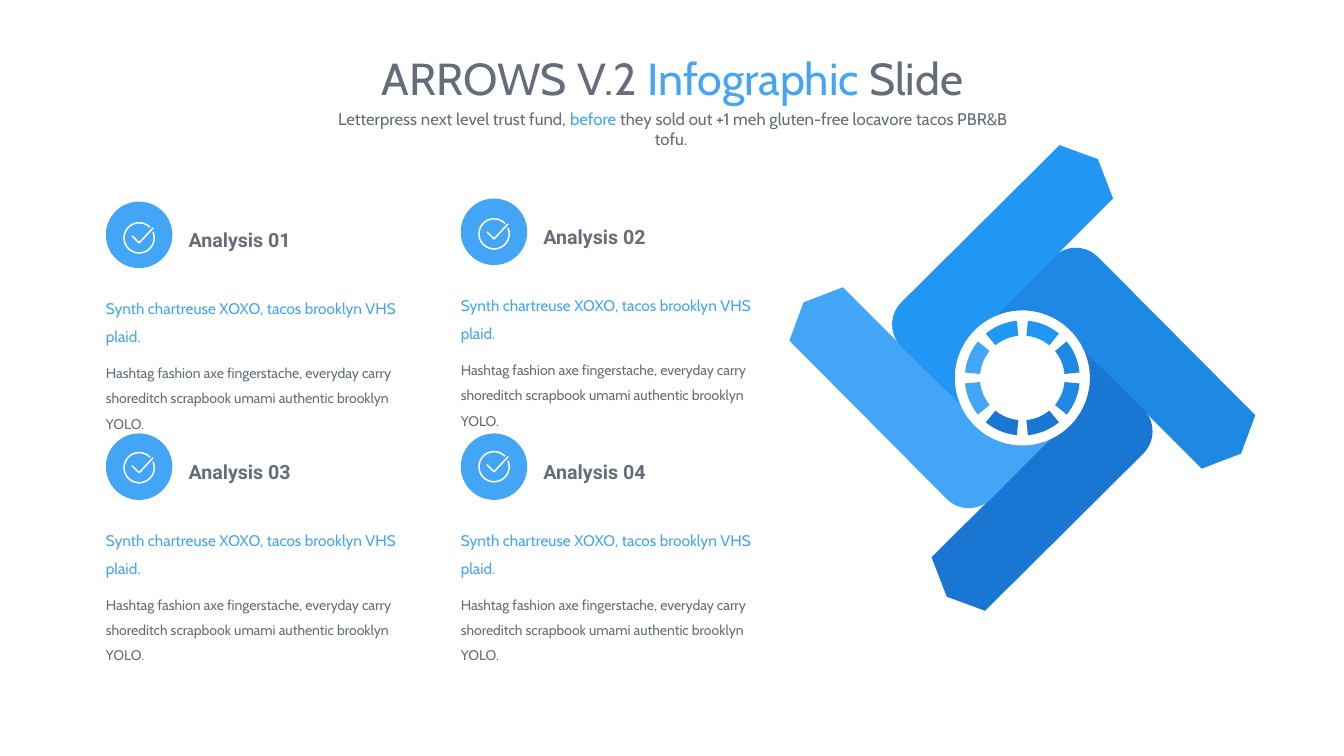
from dataclasses import dataclass
from math import cos, radians, sin

from pptx import Presentation
from pptx.dml.color import RGBColor
from pptx.enum.shapes import MSO_SHAPE
from pptx.enum.text import MSO_ANCHOR, MSO_AUTO_SIZE, PP_ALIGN
from pptx.util import Inches, Pt

ROUND_RECT = MSO_SHAPE.ROUNDED_RECTANGLE
TOP, MIDDLE = MSO_ANCHOR.TOP, MSO_ANCHOR.MIDDLE
CENTER = PP_ALIGN.CENTER
NO_FIT = MSO_AUTO_SIZE.NONE

GREY, SKY, WHITE = "656D78", "42A5F5", "FFFFFF"
ARM_COLOURS = ["1E88E5", "1976D2", SKY, "2196F3"]  # clockwise from the right

# All lengths count cells of a one-inch grid
CARD_LEFT, CARD_TOP = 1.05, 2.0
COLUMN_STEP, ROW_STEP = 3.52, 2.3
DISC = 0.66
HUB_X, HUB_Y = 10.14, 3.75
HUB_RADIUS, RING_OUTER, RING_INNER = 0.67, 0.57, 0.42

Point = tuple[float, float]


@dataclass
class Card:
    heading: str
    column: int
    row: int
    tick_y: float  # centre of the tick below the top of its disc
    lift: float = 0


CARDS = [
    Card("Analysis 01", 0, 0, 0.36),
    Card("Analysis 02", 1, 0, 0.35, lift=0.03),
    Card("Analysis 03", 0, 1, 0.34),
    Card("Analysis 04", 1, 1, 0.33),
]
LEAD = "Synth chartreuse XOXO, tacos brooklyn VHS plaid."
DETAIL = ("Hashtag fashion axe fingerstache, everyday carry "
          "shoreditch scrapbook umami authentic brooklyn YOLO.")


def rgb(colour: str) -> RGBColor:
    return RGBColor.from_string(colour)


def format_run(r, size: float, colour: str, font: str = "Cabin", bold: bool = False) -> None:
    r.font.name, r.font.size, r.font.bold = font, Pt(size), bold
    r.font.color.rgb = rgb(colour)


def paint(s, colour: str) -> None:
    s.shadow.inherit = False
    s.fill.solid()
    s.fill.fore_color.rgb = rgb(colour)
    s.line.fill.background()


def arc(radius: float, start: float, end: float, steps: int = 24) -> list[Point]:
    angles = [radians(start + (end - start) * i / steps) for i in range(steps + 1)]
    return [(radius * cos(a), radius * sin(a)) for a in angles]


def bezier(p0: Point, p1: Point, p2: Point, p3: Point, steps: int = 12) -> list[Point]:
    points = []
    for i in range(steps + 1):
        t = i / steps
        weights = ((1 - t) ** 3, 3 * t * (1 - t) ** 2, 3 * t * t * (1 - t), t ** 3)
        points.append(tuple(sum(w * p[axis] for w, p in zip(weights, (p0, p1, p2, p3)))
                            for axis in (0, 1)))
    return points


def turn(points: list[Point], quarters: int) -> list[Point]:
    for _ in range(quarters):
        points = [(-y, x) for x, y in points]
    return points


def add_outline(slide, contours: list[list[Point]], cx: float, cy: float, close: bool = True):
    """Draw contours given relative to the centre (cx, cy)."""
    placed = [[(Inches(cx + x), Inches(cy + y)) for x, y in c] for c in contours]
    builder = slide.shapes.build_freeform(*placed[0][0])
    builder.add_line_segments(placed[0][1:], close=close)
    for contour in placed[1:]:
        builder.move_to(*contour[0])
        builder.add_line_segments(contour[1:], close=close)
    return builder.convert_to_shape()


def fill_banner(s, box: tuple[float, ...], size: float, parts: list[tuple[str, str]]) -> None:
    s.left, s.top, s.width, s.height = (Inches(v) for v in box)
    tf = s.text_frame
    tf.word_wrap, tf.auto_size, tf.vertical_anchor = True, NO_FIT, TOP
    p = tf.paragraphs[0]
    p.alignment, p.space_before = CENTER, Pt(0)
    for text, colour in parts:
        r = p.add_run()
        r.text = text
        format_run(r, size, colour)


def add_text(slide, x: float, y: float, width: float, height: float):
    tf = slide.shapes.add_textbox(*(Inches(v) for v in (x, y, width, height))).text_frame
    tf.word_wrap = True
    tf.margin_left = tf.margin_top = tf.margin_right = tf.margin_bottom = 0
    return tf


def add_card(slide, card: Card) -> None:
    x = CARD_LEFT + card.column * COLUMN_STEP
    y = CARD_TOP + card.row * ROW_STEP - card.lift

    disc = slide.shapes.add_shape(ROUND_RECT, Inches(x), Inches(y), Inches(DISC), Inches(DISC))
    disc.adjustments[0] = 0.5
    paint(disc, SKY)

    tf = add_text(slide, x + 0.82, y + 0.2, 1.93, 0.28)
    tf.vertical_anchor = MIDDLE
    tf.text = card.heading
    p = tf.paragraphs[0]
    p.line_spacing = 1.3
    format_run(p.runs[0], 14, GREY, "Roboto", bold=True)

    tf = add_text(slide, x, y + 0.88, 3.09, 0.87)
    tf.text = LEAD
    detail = tf.add_paragraph()
    detail.text = DETAIL
    detail.space_before = Pt(7.5)
    for p, size, colour in zip(tf.paragraphs, (11, 10), (SKY, GREY)):
        p.line_spacing = 1.5
        format_run(p.runs[0], size, colour)

    # Open circle with a tick through its gap
    tick = [(-0.07, -0.02), (0, 0.05), (0.14, -0.1)]
    icon = add_outline(slide, [arc(0.15, -23, 316), tick], x + DISC / 2, y + card.tick_y, close=False)
    icon.shadow.inherit = False
    icon.fill.background()
    icon.line.color.rgb = rgb(WHITE)
    icon.line.width = Pt(1.1)


def add_pinwheel(slide) -> None:
    arm = [(2.31, 0.37), (2.17, 0.75), (1.78, 0.9)]
    arm += arc(HUB_RADIUS, -23.5, -113.5)
    arm += bezier((0.32, -1.21), (0.44, -1.32), (0.63, -1.32), (0.75, -1.2))
    segments = [arc(RING_OUTER, mid - 17, mid + 17) + arc(RING_INNER, mid + 17, mid - 17)
                for mid in (-22.5, 22.5)]
    for quarters, colour in enumerate(ARM_COLOURS):
        for piece in [arm, *segments]:
            paint(add_outline(slide, [turn(piece, quarters)], HUB_X, HUB_Y), colour)


def main() -> None:
    prs = Presentation()
    prs.slide_width, prs.slide_height = Inches(13.33), Inches(7.5)
    slide = prs.slides.add_slide(prs.slide_layouts[0])

    # Title and subtitle
    title, subtitle = slide.placeholders
    fill_banner(title, (2.54, 0.45, 8.26, 0.64), 32,
                [("ARROWS V.2 ", GREY), ("Infographic ", SKY), ("Slide", GREY)])
    fill_banner(subtitle, (3.2, 1.03, 6.95, 0.3), 12,
                [("Letterpress next level trust fund, ", GREY), ("before", SKY),
                 (" they sold out +1 meh gluten-free locavore tacos PBR&B tofu. ", GREY)])

    # Pinwheel of arrows, then the analysis cards
    add_pinwheel(slide)
    for card in CARDS:
        add_card(slide, card)

    prs.save("out.pptx")


if __name__ == "__main__":
    main()
